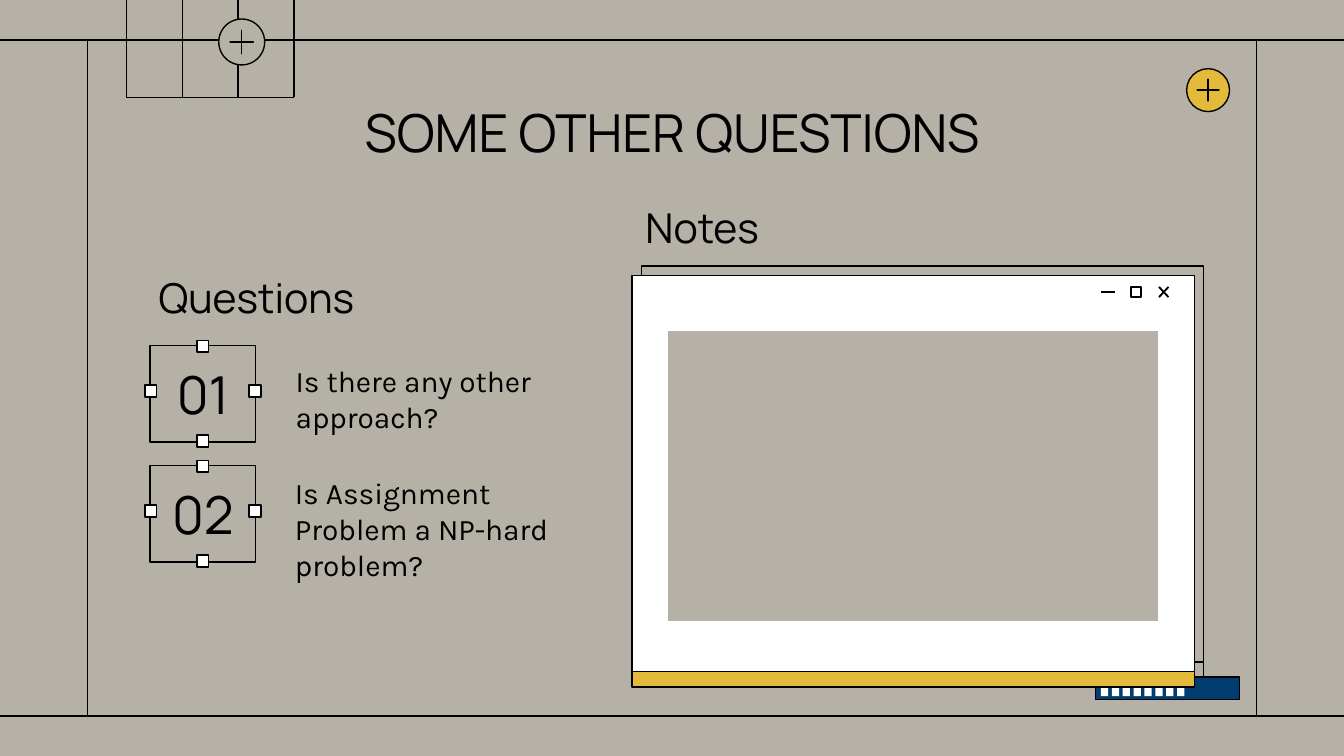
from dataclasses import dataclass

from lxml import etree
from pptx import Presentation
from pptx.dml.color import RGBColor
from pptx.enum.shapes import MSO_CONNECTOR, MSO_SHAPE
from pptx.enum.text import MSO_ANCHOR, MSO_AUTO_SIZE, PP_ALIGN
from pptx.oxml.ns import qn
from pptx.util import Pt


@dataclass(frozen=True)
class Theme:
    ink: RGBColor = RGBColor(0, 0, 0)
    paper: RGBColor = RGBColor(0xB5, 0xB1, 0xA7)
    white: RGBColor = RGBColor(255, 255, 255)
    gold: RGBColor = RGBColor(0xE4, 0xBA, 0x3A)
    navy: RGBColor = RGBColor(0x02, 0x3D, 0x6F)
    heading_font: str = "Manrope"
    body_font: str = "Karla"
    title_size: float = 28
    heading_size: float = 22
    body_size: float = 16
    stroke: float = 0.75


THEME = Theme()


def write(holder, text, size, font, align=PP_ALIGN.LEFT):
    frame = holder.text_frame
    frame.text = text
    frame.word_wrap = True
    frame.auto_size = MSO_AUTO_SIZE.NONE
    frame.vertical_anchor = MSO_ANCHOR.MIDDLE
    frame.margin_left = frame.margin_right = Pt(7.2)
    frame.margin_top = frame.margin_bottom = Pt(7.2)
    paragraph = frame.paragraphs[0]
    properties = paragraph._p.get_or_add_pPr()
    properties.set("marL", "0")
    properties.set("indent", "0")
    etree.SubElement(properties, qn("a:buNone"))
    paragraph.alignment = align
    paragraph.space_before = Pt(0)
    paragraph.font.size = Pt(size)
    paragraph.font.name = font
    paragraph.font.bold = False
    paragraph.font.color.rgb = THEME.ink


def place(holder, left, top, width, height):
    holder.left, holder.top = Pt(left), Pt(top)
    holder.width, holder.height = Pt(width), Pt(height)


def add_block(slide, left, top, width, height, fill=None, outline=THEME.ink,
              stroke=THEME.stroke, kind=MSO_SHAPE.RECTANGLE):
    block = slide.shapes.add_shape(kind, Pt(left), Pt(top), Pt(width), Pt(height))
    block.shadow.inherit = False
    if fill is None:
        block.fill.background()
    else:
        block.fill.solid()
        block.fill.fore_color.rgb = fill
    if outline is None:
        block.line.fill.background()
    else:
        block.line.color.rgb = outline
        block.line.width = Pt(stroke)
    return block


def add_rule(slide, x1, y1, x2, y2, stroke=THEME.stroke):
    rule = slide.shapes.add_connector(
        MSO_CONNECTOR.STRAIGHT, Pt(x1), Pt(y1), Pt(x2), Pt(y2))
    rule.line.color.rgb = THEME.ink
    rule.line.width = Pt(stroke)
    etree.SubElement(rule._element.spPr, qn("a:effectLst"))


def add_plus_badge(slide, center_x, center_y, diameter, fill):
    cross = diameter * 0.69
    add_block(slide, center_x - diameter / 2, center_y - diameter / 2,
              diameter, diameter, fill, kind=MSO_SHAPE.OVAL)
    plus = add_block(slide, center_x - cross / 2, center_y - cross / 2,
                     cross, cross, THEME.ink, kind=MSO_SHAPE.MATH_PLUS)
    plus.adjustments[0] = 0


def add_page_frame(slide):
    for y in (21.5, 383.6):
        add_rule(slide, 0, y, 720, y)
    for x in (46.9, 673.1):
        add_rule(slide, x, 21.5, x, 383.6)


def add_barcode(slide):
    add_block(slide, 587, 362.7, 77, 12, THEME.navy)
    for index in range(8):
        add_block(slide, 589.8 + 5.83 * index, 365, 3.9, 8, THEME.white, None)


def add_corner_grid(slide):
    left, column, bottom = 67.7, 29.93, 52.2
    for index in range(4):
        x = left + column * index
        add_rule(slide, x, 0, x, bottom)
    add_rule(slide, left, bottom, left + 3 * column, bottom)
    add_plus_badge(slide, 129.5, 22.5, 24.6, THEME.paper)


def add_numbered_frame(slide, number, top):
    left, width, height, handle = 80.4, 56.6, 51.8, 6.4
    frame = add_block(slide, left, top, width, height)
    write(frame, number, THEME.title_size, THEME.heading_font, PP_ALIGN.CENTER)
    middle_x, middle_y = left + width / 2, top + height / 2 - 1.4
    for x, y in ((middle_x, top + 0.5), (middle_x, top + height - 0.5),
                 (left + 0.4, middle_y), (left + width - 0.4, middle_y)):
        add_block(slide, x - handle / 2, y - handle / 2, handle, handle, THEME.white)


def add_window(slide):
    left, top, width, height, footer = 338.6, 147.6, 301.3, 212.1, 8.3
    shift = 5.0
    add_block(slide, left + shift, top - shift, width, height)
    add_block(slide, left + shift, top - shift + height, width, footer)
    add_block(slide, left, top, width, height, THEME.white)
    add_block(slide, left, top + height, width, footer, THEME.gold)
    add_rule(slide, 589.9, 156.5, 597.3, 156.5, 1)
    add_block(slide, 605.8, 153.8, 5.4, 5.4, stroke=1)
    add_rule(slide, 620.9, 153.7, 626, 159.2, 1)
    add_rule(slide, 626, 153.7, 620.9, 159.2, 1)
    add_block(slide, 356.6, 176.5, 264.6, 157, THEME.paper, THEME.white, 2)


def add_wording(slide):
    title, questions, first, notes, second = slide.placeholders
    place(title, 110.2, 47.6, 499.6, 45.4)
    write(title, "SOME OTHER QUESTIONS", THEME.title_size,
          THEME.heading_font, PP_ALIGN.CENTER)
    for heading, text, left, top in ((questions, "Questions", 77.8, 143.4),
                                     (notes, "Notes", 338.6, 105.9)):
        place(heading, left, top, 150.5, 31.7)
        write(heading, text, THEME.heading_size, THEME.heading_font)
    for question, text, left, top, height in (
            (first, "Is there any other approach?", 151.2, 193.4, 40.3),
            (second, "Is Assignment Problem a NP-hard problem?", 150.8, 266.4, 33.8)):
        place(question, left, top, 162.7, height)
        write(question, text, THEME.body_size, THEME.body_font)


def main():
    deck = Presentation()
    deck.slide_width, deck.slide_height = Pt(720), Pt(405)
    slide = deck.slides.add_slide(deck.slide_layouts.get_by_name("Comparison"))
    slide.background.fill.solid()
    slide.background.fill.fore_color.rgb = THEME.paper
    add_wording(slide)
    add_barcode(slide)
    add_page_frame(slide)
    for number, top in (("01", 185), ("02", 249.3)):
        add_numbered_frame(slide, number, top)
    add_window(slide)
    add_plus_badge(slide, 647.2, 48.3, 23, THEME.gold)
    add_corner_grid(slide)
    deck.save("out.pptx")


if __name__ == "__main__":
    main()
